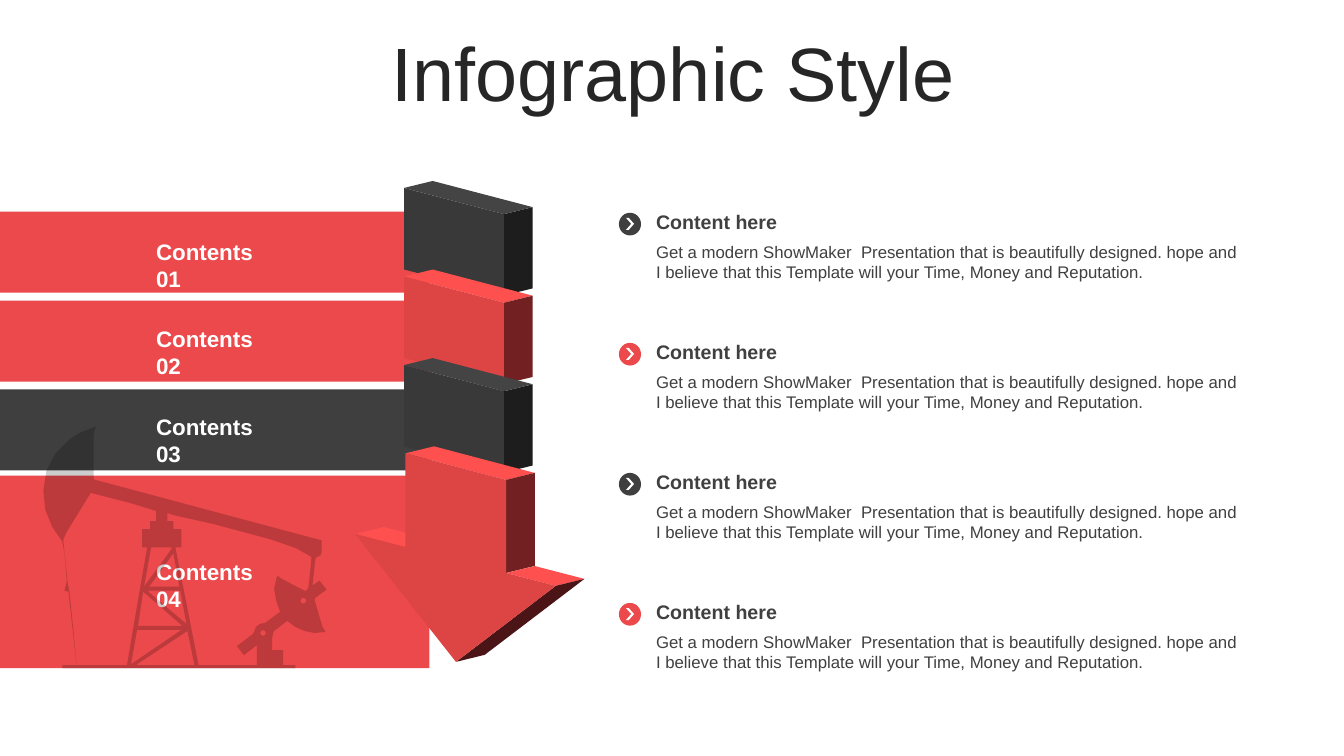
from lxml import etree
from pptx import Presentation
from pptx.dml.color import RGBColor
from pptx.enum.shapes import MSO_SHAPE
from pptx.enum.text import MSO_ANCHOR, MSO_AUTO_SIZE, PP_ALIGN
from pptx.oxml.ns import qn
from pptx.util import Pt

RECTANGLE, OVAL, CHEVRON = MSO_SHAPE.RECTANGLE, MSO_SHAPE.OVAL, MSO_SHAPE.CHEVRON
TOP, MIDDLE = MSO_ANCHOR.TOP, MSO_ANCHOR.MIDDLE
CENTER = PP_ALIGN.CENTER
FIXED = MSO_AUTO_SIZE.NONE

FONT = "Arial"
COLORS = {
    "red": "EB494B", "dark": "3F3F3F", "white": "FFFFFF", "black": "000000",
    "title": "262626", "text": "404040",
    "red_front": "DD4444", "red_top": "FF5050", "red_side": "732023", "red_under": "4B1517",
    "dark_front": "393939", "dark_top": "444444", "dark_side": "1D1D1D",
}

BARS = [
    ("Contents 01", 151.2, 57.8, 166.3, "red"),
    ("Contents 02", 214.8, 57.8, 229, "red"),
    ("Contents 03", 278.2, 57.8, 291.6, "dark"),
    ("Contents 04", 339.8, 137.5, 395.3, "red"),
]
ITEM_COLORS = ["dark", "red", "dark", "red"]
ITEM_TOP, ITEM_STEP = 146.2, 92.9
ITEM_TEXT = ("Get a modern ShowMaker  Presentation that is beautifully designed. hope and "
             "I believe that this Template will your Time, Money and Reputation.")

DEPTH = (20.5, -5)
BLOCK = [(288.6, 134.3), (360, 153), (360, 211), (288.6, 192.5)]
BLOCK_STEP = 63.25
BLOCK_SIDES = {0: "top", 1: "side"}
ARROW = [(289.6, 323.8), (361.5, 342.8), (361.5, 409.3), (397, 418.5),
         (325.7, 472.8), (253.6, 381.4), (289.6, 390.8)]
ARROW_SIDES = {0: "top", 1: "side", 2: "top", 3: "under", 5: "top"}

PUMP_UNIT = 0.72
PUMP_BODY = [
    (95, 423), (93, 431), (93, 475), (94, 476), (113, 481), (210, 507), (311, 534), (319, 536),
    (319, 544), (319, 548), (318, 551), (314, 553), (313, 554), (310, 581), (317, 576),
    (324, 585), (313, 593), (312, 595), (320, 622), (323, 627), (312, 628), (302, 626),
    (293, 622), (285, 616), (272, 626), (271, 628), (270, 633), (270, 645), (281, 645),
    (281, 660), (293, 660), (293, 663), (62, 663), (62, 660), (76, 660), (68, 587), (64, 586),
    (66, 578), (66, 573), (64, 549), (62, 538), (61, 536), (52, 523), (45, 506), (43, 487),
    (46, 467), (55, 450), (69, 436), (80, 429), (93, 424),
]
PUMP_HOLES = [
    [(278, 607), (274, 596), (272, 584), (275, 571), (279, 574), (302, 586), (304, 586),
     (306, 583), (308, 565), (309, 553), (308, 552), (294, 544), (268, 535), (212, 520),
     (172, 511), (166, 509), (166, 517), (172, 517), (172, 525), (180, 525), (180, 543),
     (174, 543), (197, 660), (255, 660), (255, 640), (242, 650), (235, 641), (251, 629),
     (252, 627), (254, 622), (258, 619), (263, 618)],
    [(76, 660), (126, 660), (130, 636), (146, 543), (141, 543), (141, 525), (149, 525),
     (149, 517), (155, 517), (155, 507), (129, 499), (90, 489), (66, 528), (63, 535),
     (63, 538), (67, 577), (69, 588), (73, 627)],
    [(193, 660), (186, 626), (136, 659), (136, 660)],
    [(181, 621), (142, 587), (137, 621)],
    [(130, 659), (180, 625), (136, 625)],
    [(147, 587), (185, 619), (179, 587), (178, 586), (148, 586)],
    [(172, 549), (148, 582), (178, 582)],
    [(143, 582), (170, 545), (170, 543), (150, 543)],
]
PIVOTS = [(301, 596), (261, 628)]
PIVOT_RING = [(0, 3), (2, 2), (3, 0), (2, -2), (0, -3), (-2, -2), (-3, 0), (-2, 2)]


def paint(shape, color):
    shape.shadow.inherit = False
    shape.fill.solid()
    shape.fill.fore_color.rgb = RGBColor.from_string(COLORS[color])
    shape.line.fill.background()


def add_preset(page, kind, left, top, width, height, color):
    shape = page.shapes.add_shape(kind, Pt(left), Pt(top), Pt(width), Pt(height))
    paint(shape, color)
    return shape


def add_outline(page, contours, color):
    scaled = [[(Pt(x), Pt(y)) for x, y in contour] for contour in contours]
    builder = page.shapes.build_freeform(*scaled[0][0])
    builder.add_line_segments(scaled[0][1:], close=True)
    for contour in scaled[1:]:
        builder.move_to(*contour[0])
        builder.add_line_segments(contour[1:], close=True)
    shape = builder.convert_to_shape()
    paint(shape, color)
    return shape


def add_solid(page, front, sides, tone):
    def push(point):
        return point[0] + DEPTH[0], point[1] + DEPTH[1]

    for index, face in sides.items():
        start, end = front[index], front[index + 1]
        add_outline(page, [[start, push(start), push(end), end]], f"{tone}_{face}")
    add_outline(page, [front], f"{tone}_front")


def write(box, text, size, color, bold=False, anchor=TOP):
    frame = box.text_frame
    frame.word_wrap = True
    frame.auto_size = FIXED
    frame.vertical_anchor = anchor
    para = frame.paragraphs[0]
    span = para.add_run()
    span.text = text
    span.font.name = FONT
    span.font.size = Pt(size)
    span.font.bold = bold
    span.font.color.rgb = RGBColor.from_string(COLORS[color])
    return para


def add_text(page, left, top, width, height, *style):
    box = page.shapes.add_textbox(Pt(left), Pt(top), Pt(width), Pt(height))
    write(box, *style)


def add_title(page, text):
    title = page.shapes.title
    title.left, title.top, title.width, title.height = Pt(25.2), Pt(26.6), Pt(911.5), Pt(56.9)
    para = write(title, text, 54, "title", False, MIDDLE)
    para.alignment = CENTER
    para.line_spacing = 0.9


def add_pump(page):
    rings = [[(x + dx, y + dy) for dx, dy in PIVOT_RING] for x, y in PIVOTS]
    contours = [[(x * PUMP_UNIT, y * PUMP_UNIT) for x, y in contour]
                for contour in [PUMP_BODY, *PUMP_HOLES, *rings]]
    pump = add_outline(page, contours, "black")
    tint = pump.fill._xPr.find(qn("a:solidFill"))[0]
    etree.SubElement(tint, qn("a:alpha"), val="20000")


def add_item(page, top, color):
    add_preset(page, OVAL, 442.1, top + 5.8, 15.8, 16.2, color)
    mark = add_preset(page, CHEVRON, 447.1, top + 9.4, 5.8, 8.6, "white")
    mark.adjustments[0] = 0.652
    add_text(page, 461.5, top, 433.4, 24.5, "Content here", 14, "text", True, MIDDLE)
    add_text(page, 461.5, top + 23, 433.4, 36, ITEM_TEXT, 12, "text")


def main():
    deck = Presentation()
    deck.slide_width, deck.slide_height = Pt(960), Pt(540)
    page = deck.slides.add_slide(deck.slide_layouts[5])
    add_title(page, "Infographic Style")
    for _, top, height, _, color in BARS:
        add_preset(page, RECTANGLE, 0, top, 306.7, height, color)
    for index, tone in enumerate(["dark", "red", "dark"]):
        front = [(x, y + index * BLOCK_STEP) for x, y in BLOCK]
        add_solid(page, front, BLOCK_SIDES, tone)
    add_solid(page, ARROW, ARROW_SIDES, "red")
    for label, _, _, top, _ in BARS:
        add_text(page, 104.4, top, 97.9, 26.6, label, 16, "white", True)
    add_pump(page)
    for index, color in enumerate(ITEM_COLORS):
        add_item(page, ITEM_TOP + index * ITEM_STEP, color)
    deck.save("out.pptx")


if __name__ == "__main__":
    main()
